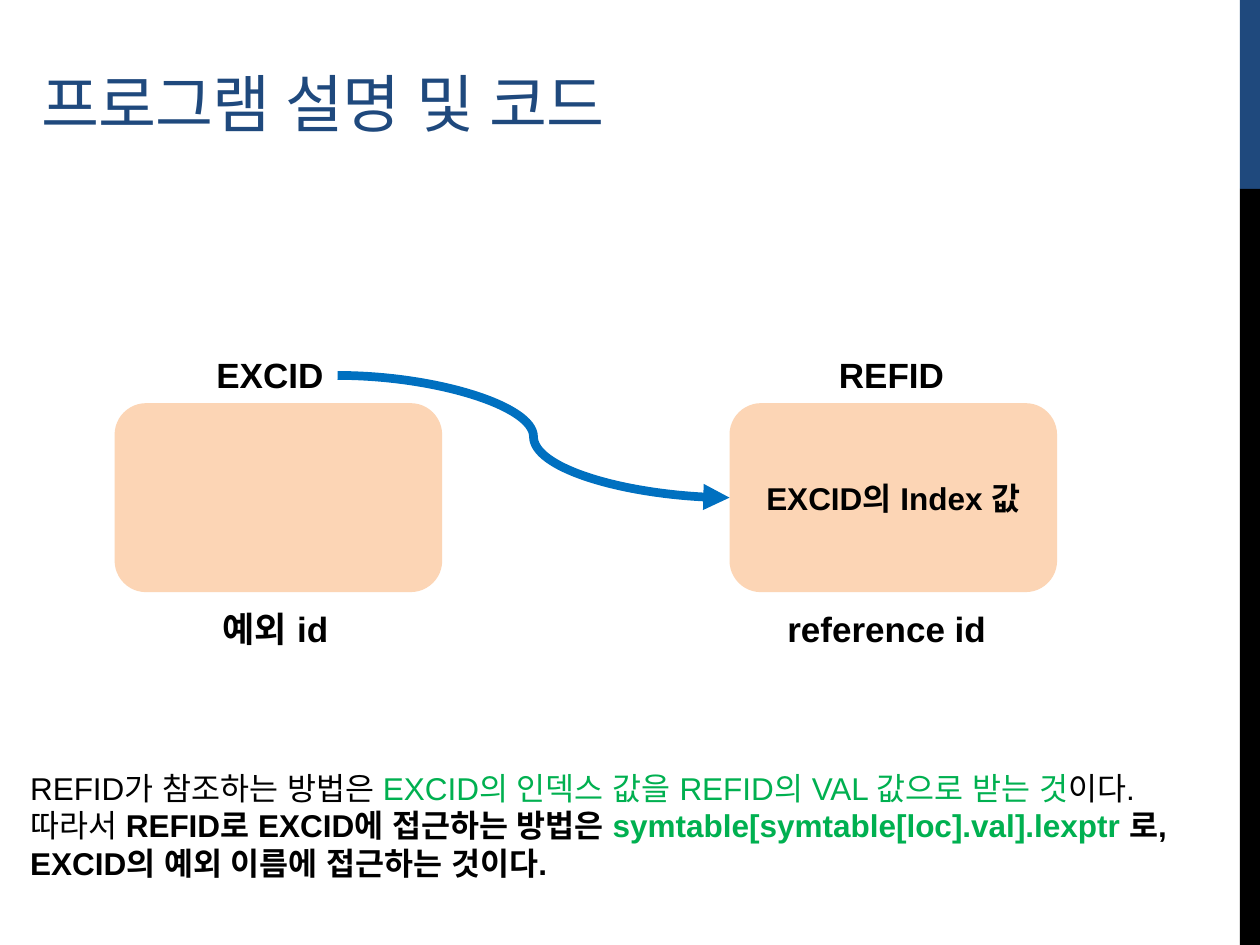
from dataclasses import dataclass

import pptx
import pptx.util
import pptx.dml.color
import pptx.enum.dml
import pptx.enum.lang
import pptx.enum.shapes
import pptx.enum.text
import pptx.oxml
import pptx.oxml.ns
from pptx.util import Pt

COLORS = {
    "navy": "1F497D",
    "black": "000000",
    "peach": "FCD5B5",
    "blue": "0070C0",
    "green": "00B050",
}
FONT = "Arial"
ENTRY_TOP, ENTRY_WIDTH, ENTRY_HEIGHT = 230.4, 187.2, 108
HEADING_TOP, CAPTION_TOP, LABEL_HEIGHT = 198.7, 343.4, 31.7


@dataclass
class Label:
    text: str
    left: float
    width: float


@dataclass
class Entry:
    """A symbol table entry: a box with a heading above and a caption below."""
    left: float
    content: str
    heading: Label
    caption: Label


@dataclass
class Phrase:
    text: str
    color: str = "black"
    bold: bool = False


ENTRIES = [
    Entry(65.5, "", Label("EXCID", 116.6, 76.3), Label("예외 id", 120.2, 77.8)),
    Entry(416.9, "EXCID의 Index 값",
          Label("REFID", 472.3, 75.6), Label("reference id", 442.8, 128.9)),
]
EXPLANATION = [
    [Phrase("REFID가 참조하는 방법은 "),
     Phrase("EXCID의 인덱스 값을 REFID의 VAL 값으로 받는 것", "green"),
     Phrase("이다.")],
    [Phrase("따라서 "),
     Phrase("REFID로 EXCID에 접근하는 방법은 ", bold=True),
     Phrase("symtable[symtable[loc].val].lexptr ", "green", True),
     Phrase("로,", bold=True)],
    [Phrase("EXCID의 예외 이름에 접근하는 것이다.", bold=True)],
]


def rgb(color: str) -> pptx.dml.color.RGBColor:
    return pptx.dml.color.RGBColor.from_string(COLORS[color])


def set_font(font, size: float, color: str = "black", bold: bool = False) -> None:
    font.name, font.size, font.bold = FONT, Pt(size), bold
    font.language_id = pptx.enum.lang.MSO_LANGUAGE_ID.KOREAN
    font.color.rgb = rgb(color)


def add_box(slide, kind, left: float, top: float, width: float, height: float,
            color: str):
    box = slide.shapes.add_shape(kind, Pt(left), Pt(top), Pt(width), Pt(height))
    box.shadow.inherit = False
    box.fill.solid()
    box.fill.fore_color.rgb = rgb(color)
    box.line.fill.background()
    return box


def add_label(slide, label: Label, top: float) -> None:
    frame = slide.shapes.add_textbox(
        Pt(label.left), Pt(top), Pt(label.width), Pt(LABEL_HEIGHT)).text_frame
    frame.word_wrap = False
    frame.auto_size = pptx.enum.text.MSO_AUTO_SIZE.SHAPE_TO_FIT_TEXT
    frame.text = label.text
    set_font(frame.paragraphs[0].font, 20, bold=True)


def add_entry(slide, entry: Entry):
    box = add_box(slide, pptx.enum.shapes.MSO_SHAPE.ROUNDED_RECTANGLE,
                  entry.left, ENTRY_TOP, ENTRY_WIDTH, ENTRY_HEIGHT, "peach")
    if entry.content:
        box.text_frame.text = entry.content
        content = box.text_frame.paragraphs[0]
        content.alignment = pptx.enum.text.PP_ALIGN.CENTER
        set_font(content.font, 18, bold=True)
    add_label(slide, entry.heading, HEADING_TOP)
    add_label(slide, entry.caption, CAPTION_TOP)
    return box


def add_reference_arrow(slide, source: Label, target: Entry) -> None:
    arrow = slide.shapes.add_connector(
        pptx.enum.shapes.MSO_CONNECTOR.CURVE,
        Pt(source.left + source.width), Pt(HEADING_TOP + LABEL_HEIGHT / 2),
        Pt(target.left), Pt(ENTRY_TOP + ENTRY_HEIGHT / 2))
    arrow.line.color.rgb = rgb("blue")
    arrow.line.width = Pt(5)
    qn = pptx.oxml.ns.qn
    properties = arrow.element.find(qn("p:spPr"))
    line = properties.find(qn("a:ln"))
    line.append(line.makeelement(qn("a:tailEnd"), {"type": "triangle"}))
    properties.append(properties.makeelement(qn("a:effectLst"), {}))


def add_title(slide, text: str) -> None:
    title = slide.shapes.title
    title.left, title.top, title.width, title.height = (
        Pt(16.6), Pt(20.9), Pt(686.2), Pt(62.6))
    frame = title.text_frame
    frame.text = text
    frame.auto_size = pptx.enum.text.MSO_AUTO_SIZE.NONE
    frame.vertical_anchor = pptx.enum.text.MSO_ANCHOR.BOTTOM
    heading = frame.paragraphs[0]
    heading.alignment = pptx.enum.text.PP_ALIGN.LEFT
    set_font(heading.font, 36, "navy")
    heading.runs[0].font._element.set("spc", "-60")


def add_explanation(slide) -> None:
    frame = slide.shapes.add_textbox(
        Pt(10.1), Pt(435.6), Pt(691.9), Pt(72.7)).text_frame
    frame.word_wrap = True
    frame.auto_size = pptx.enum.text.MSO_AUTO_SIZE.SHAPE_TO_FIT_TEXT
    for index, phrases in enumerate(EXPLANATION):
        paragraph = frame.add_paragraph() if index else frame.paragraphs[0]
        for phrase in phrases:
            run = paragraph.add_run()
            run.text = phrase.text
            set_font(run.font, 18, phrase.color, phrase.bold)


def main() -> None:
    presentation = pptx.Presentation()
    presentation.slide_width, presentation.slide_height = Pt(720), Pt(540)
    slide = presentation.slides.add_slide(presentation.slide_layouts[5])
    for top, height, color in ((0, 108, "navy"), (108, 432, "black")):
        add_box(slide, pptx.enum.shapes.MSO_SHAPE.RECTANGLE,
                708.5, top, 11.5, height, color)
    add_title(slide, "프로그램 설명 및 코드")
    source_box, target_box = [add_entry(slide, entry) for entry in ENTRIES]
    add_reference_arrow(slide, ENTRIES[0].heading, ENTRIES[1])
    add_explanation(slide)
    presentation.save("out.pptx")


if __name__ == "__main__":
    main()
